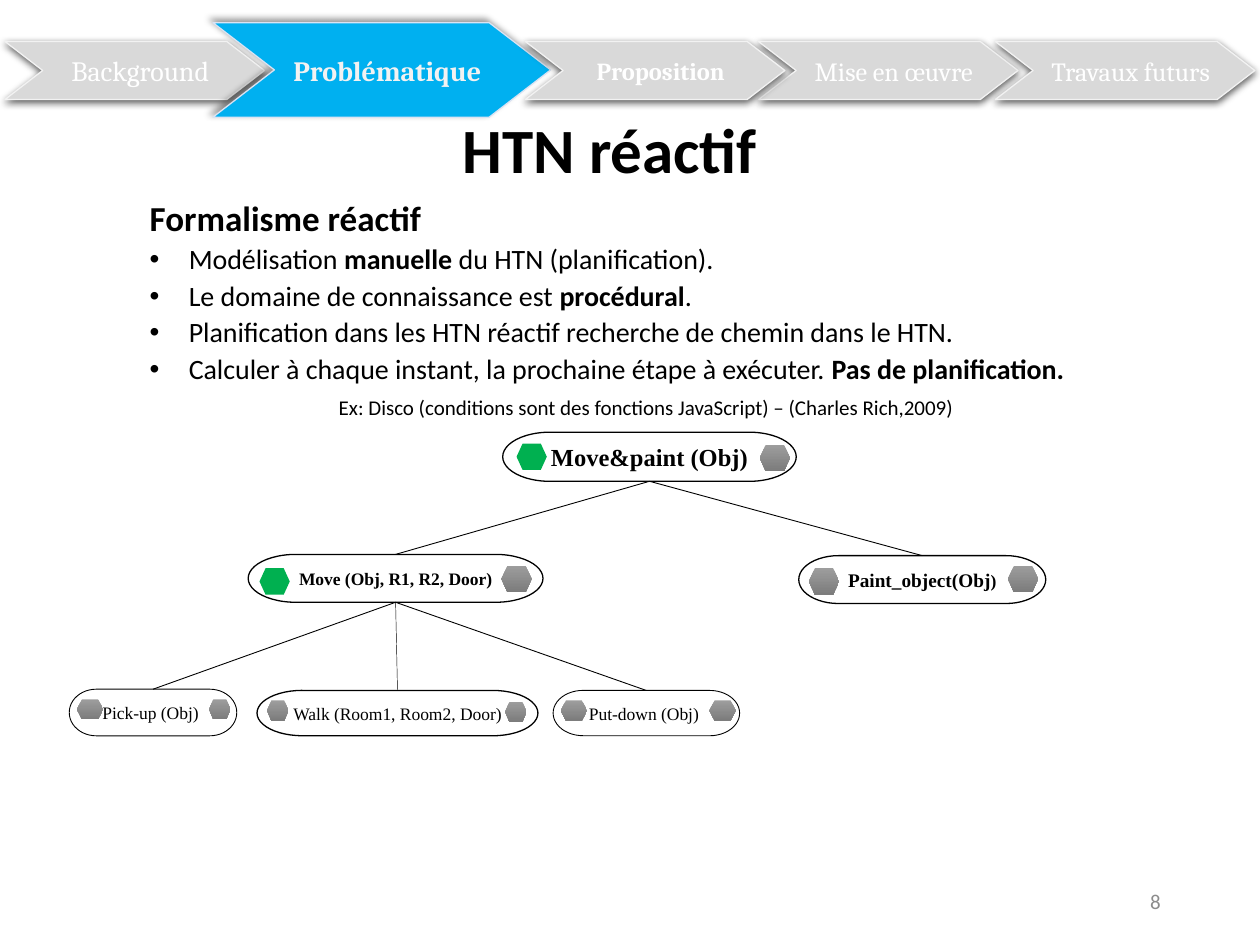
from lxml import etree
from pptx import Presentation
from pptx import util as u
from pptx.dml.color import RGBColor
from pptx.enum import shapes, text
from pptx.oxml import ns

COLUMNS, ROWS = 100, 75
BLACK, WHITE, GREEN = "000000", "FFFFFF", "00B050"
PALE, GREY, BLUE = "F2F2F2", "D9D9D9", "00B0F0"
SERIF = "Times New Roman"


def colour(value):
    """Turn a hex string into a colour."""
    return RGBColor.from_string(value)


class Board:
    """Holds the style and the current slide, measured in grid columns and rows."""

    def __init__(self, deck):
        """Add a blank page and work out the grid."""
        self.page = deck.slides.add_slide(deck.slide_layouts[6])
        self.column = deck.slide_width / COLUMNS
        self.row = deck.slide_height / ROWS

    def area(self, left, top, width, height):
        """Convert grid units to slide lengths."""
        return [int(n) for n in (left * self.column, top * self.row,
                                 width * self.column, height * self.row)]

    def font(self, para, size, name="Calibri", ink=BLACK, bold=False):
        """Style a whole paragraph."""
        para.font.size, para.font.name = u.Pt(size), name
        para.font.bold, para.font.color.rgb = bold, colour(ink)

    def label(self, shape, spans, align=text.PP_ALIGN.CENTER, insets=(0, 0, 0, 0), **style):
        """Write one middle-anchored line, whose spans may set their own size."""
        frame = shape.text_frame
        frame.word_wrap = True
        frame.vertical_anchor = text.MSO_ANCHOR.MIDDLE
        (frame.margin_left, frame.margin_top,
         frame.margin_right, frame.margin_bottom) = [u.Inches(n) for n in insets]
        para = frame.paragraphs[0]
        para.alignment = align
        self.font(para, **style)
        for words, *size in spans:
            span = para.add_run()
            span.text = words
            if size:
                span.font.size = u.Pt(size[0])

    def line_of_text(self, area, words, **style):
        """Add a text box with a single line."""
        self.label(self.page.shapes.add_textbox(*self.area(*area)), [(words,)], **style)

    def shape(self, kind, area, fill, line=None, weight=0.75):
        """Add a flat preset shape."""
        shape = self.page.shapes.add_shape(kind, *self.area(*area))
        shape.shadow.inherit = False
        shape.fill.solid()
        shape.fill.fore_color.rgb = colour(fill)
        if line:
            shape.line.color.rgb = colour(line)
            shape.line.width = u.Pt(weight)
        else:
            shape.line.fill.background()
        return shape

    def step(self, area, words, shadow, fill=GREY, edge=PALE, ink=WHITE, size=16, bold=False):
        """Add a navigation chevron with a soft shadow."""
        chevron = self.shape(shapes.MSO_SHAPE.CHEVRON, area, fill, edge)
        chevron.adjustments[0] = 0.65
        self.label(chevron, [(words,)], insets=(0.1, 0.01, 0.01, 0.01),
                   size=size, name="Cambria", ink=ink, bold=bold)
        opacity, blur, distance, angle = shadow
        effects = chevron._element.spPr.find(ns.qn("a:effectLst"))
        outer = etree.SubElement(effects, ns.qn("a:outerShdw"), blurRad=str(u.Pt(blur)),
                                 dist=str(u.Pt(distance)), dir=str(angle * 60000),
                                 algn="ctr", rotWithShape="0")
        tint = etree.SubElement(outer, ns.qn("a:srgbClr"), val=BLACK)
        etree.SubElement(tint, ns.qn("a:alpha"), val=str(opacity * 1000))

    def task(self, area, spans, size, bold, weight, right=0):
        """Add a rounded task node."""
        node = self.shape(shapes.MSO_SHAPE.FLOWCHART_TERMINATOR, area, WHITE, BLACK, weight)
        self.label(node, spans, insets=(0, 0, right, 0), size=size, name=SERIF, bold=bold)
        return node

    def condition(self, area, met=False):
        """Add a hexagon, green when met and shaded grey otherwise."""
        mark = self.shape(shapes.MSO_SHAPE.FLOWCHART_PREPARATION, area, GREEN)
        if not met:
            mark.fill.gradient()
            mark.fill.gradient_angle = 270
            for stop, shade in zip(mark.fill.gradient_stops, ("9D9D9D", "7C7C7C")):
                stop.color.rgb = colour(shade)

    def branch(self, parent, child, weight):
        """Join the foot of a parent to the head of its child."""
        link = self.page.shapes.add_connector(shapes.MSO_CONNECTOR.STRAIGHT, 0, 0, 0, 0)
        link.begin_connect(parent, 2)
        link.end_connect(child, 0)
        link.line.color.rgb = colour(BLACK)
        link.line.width = u.Pt(weight)
        etree.SubElement(link._element.spPr, ns.qn("a:effectLst"))

    def body(self, area, lines):
        """Add the paragraphs, where every second span is bold."""
        frame = self.page.shapes.add_textbox(*self.area(*area)).text_frame
        frame.word_wrap = True
        for index, (spans, size, margin, bulleted, before) in enumerate(lines):
            para = frame.add_paragraph() if index else frame.paragraphs[0]
            para.alignment, para.line_spacing = text.PP_ALIGN.JUSTIFY, 0.9
            if before:
                para.space_before = u.Pt(before)
            props = para._p.get_or_add_pPr()
            props.set("marL", str(u.Inches(margin)))
            props.set("indent", str(u.Inches(-0.31 if bulleted else 0)))
            if bulleted:
                etree.SubElement(props, ns.qn("a:buFont"), typeface="Arial")
                etree.SubElement(props, ns.qn("a:buChar"), char="•")
            self.font(para, size)
            for position, words in enumerate(spans):
                if words:
                    span = para.add_run()
                    span.text, span.font.bold = words, position % 2 == 1


BODY = [
    (("", "Formalisme réactif"), 20, 0.5, False, 0),
    (("Modélisation ", "manuelle", " du HTN (planification)."), 16, 0.81, True, 3.6),
    (("Le domaine de connaissance est ", "procédural", "."), 16, 0.81, True, 3.6),
    (("Planification dans les HTN réactif recherche de chemin dans le HTN.",),
     16, 0.81, True, 3.6),
    (("Calculer à chaque instant, la prochaine étape à exécuter. ",
      "Pas de planification."), 16, 0.81, True, 3.6),
    (("Ex: Disco (conditions sont des fonctions JavaScript) – (Charles Rich,2009)",),
     12, 2, False, 7),
]

TASKS = {
    "root": ((39.9, 34.3, 23.3, 3.9), [("Move&paint (Obj)",)], 14, True, 0.75),
    "move": ((19.7, 44, 23.4, 3.8), [("Move (Obj, R1, R2, Door)",)], 10, True, 0.75),
    "paint": ((63.4, 44.1, 19.6, 3.8), [("Paint_object(Obj",), (")", 10)], 11, True, 0.75),
    "pick": ((5.5, 54.7, 13.3, 3.7), [("Pick-up (Obj)",)], 10, False, 0.5, 0.04),
    "walk": ((20.4, 54.8, 22.3, 3.6), [("Walk (Room1, Room2, Door)",)], 10, False, 0.75),
    "put": ((43.9, 54.8, 14.8, 3.6), [("Put-down (Obj)",)], 10, False, 0.5, 0.04),
}
BRANCHES = [("root", "move", 0.5), ("root", "paint", 0.5), ("move", "pick", 0.5),
            ("move", "walk", 0.25), ("move", "put", 0.5)]

LARGE, SMALL, NARROW = (2.4, 2.1), (2.1, 1.6), (1.7, 1.6)
CONDITIONS = [
    (41, 35.2, LARGE, True), (60.3, 35.3, LARGE, False),
    (20.6, 45.1, LARGE, True), (39.8, 44.9, LARGE, False),
    (64.2, 45.1, LARGE, False), (80, 44.9, LARGE, False),
    (6.1, 55.5, SMALL, False), (16.6, 55.5, NARROW, False),
    (21.2, 55.6, NARROW, False), (40.1, 55.7, NARROW, False),
    (44.5, 55.6, SMALL, False), (56.3, 55.6, SMALL, False),
]


def main():
    """Build the slide and save it."""
    deck = Presentation()
    deck.slide_width, deck.slide_height = u.Inches(10), u.Inches(7.5)
    board = Board(deck)
    board.body((5.9, 15.5, 87.3, 47.4), BODY)
    nodes = {key: board.task(*task) for key, task in TASKS.items()}
    for parent, child, weight in BRANCHES:
        board.branch(nodes[parent], nodes[child], weight)
    for left, top, size, met in CONDITIONS:
        board.condition((left, top, *size), met)
    board.line_of_text((70.6, 69.5, 22.5, 4), "8", align=text.PP_ALIGN.RIGHT,
                       insets=(0.1, 0.05, 0.1, 0.05), size=12, ink="8C8C8C")
    board.line_of_text((5.3, 8.8, 86.2, 6), "HTN réactif", size=36, bold=True)
    below = (63, 4.5, 1.5, 90)
    board.step((60.2, 3.3, 20.6, 4.6), "Mise en œuvre", below, size=15)
    board.step((0.4, 3.3, 20.6, 4.6), "Background", below)
    board.step((16.9, 1.8, 26.8, 7.5), "Problématique", (40, 4, 3, 225),
               BLUE, "DAE3F3", PALE, bold=True)
    board.step((79, 3.3, 20.6, 4.6), "Travaux futurs", below, size=15)
    board.step((41.7, 3.3, 20.6, 4.6), "Proposition", below, size=14, bold=True)
    deck.save("out.pptx")


if __name__ == "__main__":
    main()
